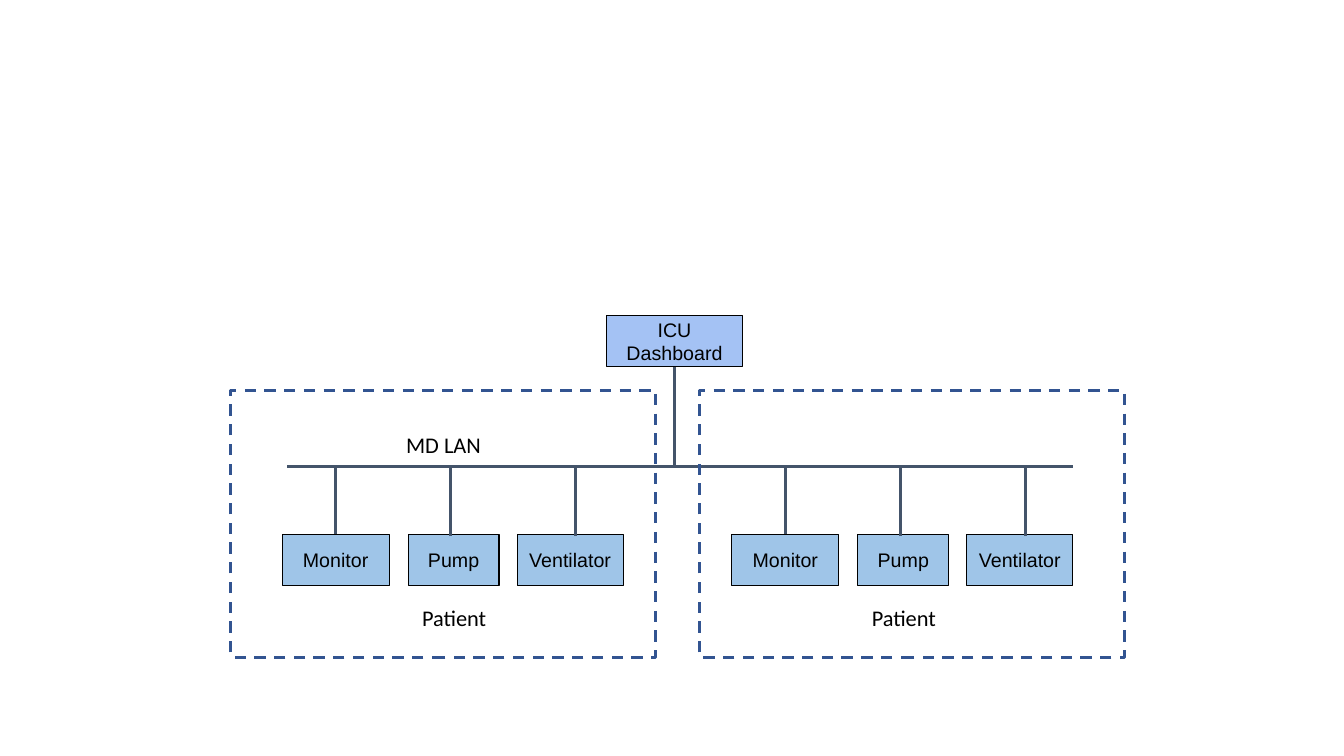
from lxml import etree
from pptx import Presentation
from pptx import util as u
from pptx.dml.color import RGBColor
from pptx.enum import dml, shapes, text
from pptx.oxml.ns import qn

BLACK = RGBColor(0x00, 0x00, 0x00)
DASHBOARD_BLUE = RGBColor(0xA4, 0xC2, 0xF4)
DEVICE_BLUE = RGBColor(0x9F, 0xC5, 0xE8)
LAN_SLATE = RGBColor(0x44, 0x54, 0x6A)
FRAME_BLUE = RGBColor(0x32, 0x54, 0x91)

PX = 9144
TOP_SIDE, BOTTOM_SIDE = 0, 2
PATIENT_SHIFT, FRAME_SHIFT = 446, 465
DEVICES = [("Monitor", 280, 106, 333), ("Pump", 405, 90, 447), ("Ventilator", 513, 105, 571)]


class NetworkSlide:
    """Draws boxes, labels, frames and LAN lines on one slide."""

    def __init__(self, presentation):
        self.slide = presentation.slides.add_slide(presentation.slide_layouts[6])
        self.box_font = {"name": "Arial", "size": u.Pt(14)}
        self.label_font = {"name": "Calibri", "size": u.Pt(16)}

    def fill_text(self, shape, words, font, alignment, margin, anchor):
        frame = shape.text_frame
        settings = {
            "word_wrap": True, "vertical_anchor": anchor,
            "margin_left": 10 * PX, "margin_right": 10 * PX,
            "margin_top": margin * PX, "margin_bottom": margin * PX,
        }
        for name, value in settings.items():
            setattr(frame, name, value)
        paragraph = frame.paragraphs[0]
        paragraph.text = words
        paragraph.alignment = alignment
        for name, value in font.items():
            setattr(paragraph.font, name, value)
        paragraph.font.color.rgb = BLACK

    def rectangle(self, left, top, width, height, color, weight):
        shape = self.slide.shapes.add_shape(
            shapes.MSO_SHAPE.RECTANGLE, left * PX, top * PX, width * PX, height * PX)
        shape.shadow.inherit = False
        shape.line.color.rgb = color
        shape.line.width = u.Pt(weight)
        return shape

    def box(self, words, left, top, width, fill):
        shape = self.rectangle(left, top, width, 51, BLACK, 0.75)
        shape.fill.solid()
        shape.fill.fore_color.rgb = fill
        self.fill_text(shape, words, self.box_font, text.PP_ALIGN.CENTER, 10, text.MSO_ANCHOR.MIDDLE)
        return shape

    def frame(self, left, top, width, height):
        shape = self.rectangle(left, top, width, height, FRAME_BLUE, 2)
        shape.fill.background()
        shape.line.dash_style = dml.MSO_LINE.DASH

    def label(self, words, left, top, width, alignment):
        shape = self.slide.shapes.add_textbox(left * PX, top * PX, width * PX, 37 * PX)
        self.fill_text(shape, words, self.label_font, alignment, 5, text.MSO_ANCHOR.TOP)

    def line(self, start_x, start_y, end_x, end_y, box=None, side=TOP_SIDE):
        connector = self.slide.shapes.add_connector(
            shapes.MSO_CONNECTOR.STRAIGHT, start_x * PX, start_y * PX, end_x * PX, end_y * PX)
        connector.line.color.rgb = LAN_SLATE
        connector.line.width = u.Pt(2.25)
        etree.SubElement(connector._element.spPr, qn("a:effectLst"))
        if box is not None:
            connector.begin_connect(box, side)


def main():
    presentation = Presentation()
    presentation.slide_width = 1333 * PX
    presentation.slide_height = 750 * PX
    network = NetworkSlide(presentation)

    dashboard = network.box("ICU Dashboard", 602, 313, 134, DASHBOARD_BLUE)
    network.line(669, 364, 669, 464, dashboard, BOTTOM_SIDE)
    network.line(285, 463, 1064, 463)
    network.label("MD LAN", 393, 423, 229, text.PP_ALIGN.LEFT)

    for patient in range(2):
        shift = patient * PATIENT_SHIFT
        for name, left, width, drop in DEVICES:
            device = network.box(name, left + shift, 530, width, DEVICE_BLUE)
            if 2 * (drop - left) == width:
                network.line(drop + shift, 530, drop + shift, 461, device)
            else:
                network.line(drop + shift, 532, drop + shift, 462)
        network.label("Patient", 364 + shift, 594, 173, text.PP_ALIGN.CENTER)
        network.frame(229 + patient * FRAME_SHIFT, 387, 421, 265)

    presentation.save("out.pptx")


if __name__ == "__main__":
    main()
